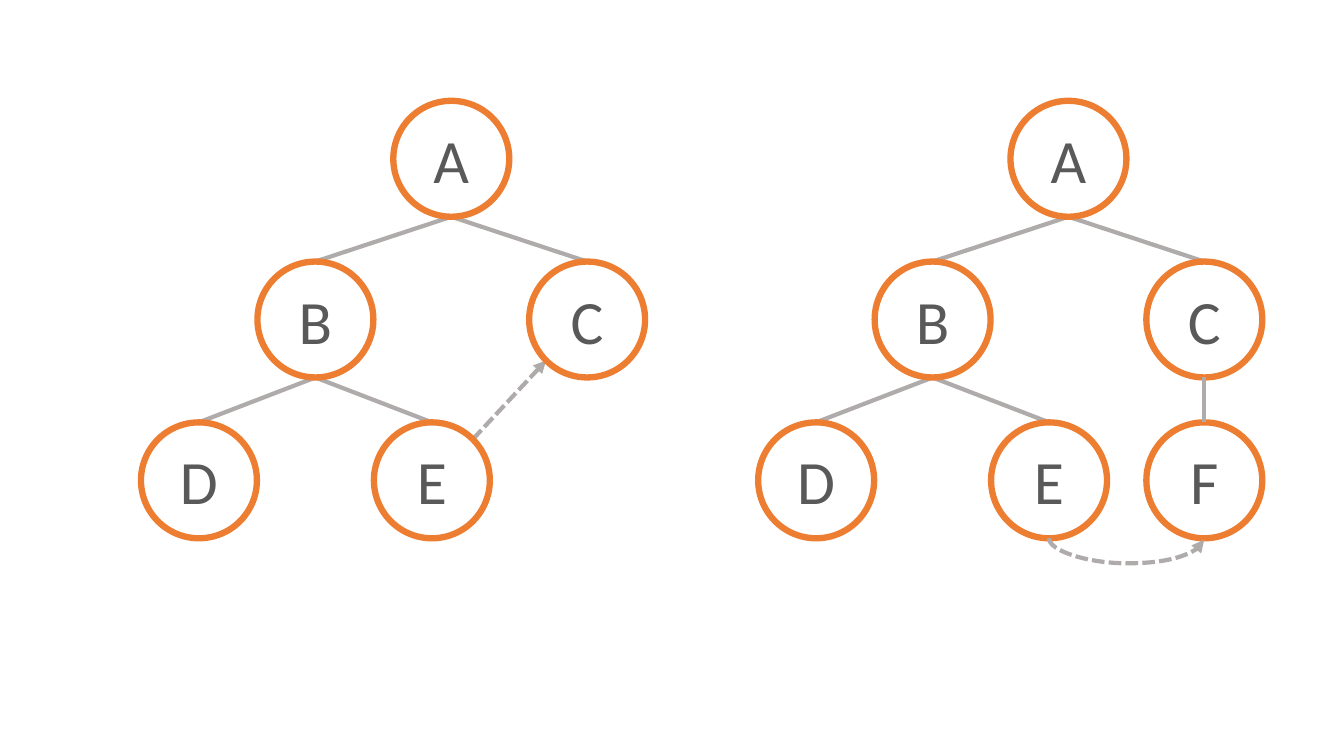
from dataclasses import dataclass
from math import sqrt

from lxml import etree
from pptx import Presentation
from pptx.dml.color import RGBColor
from pptx.enum.dml import MSO_LINE
from pptx.enum.shapes import MSO_CONNECTOR, MSO_SHAPE
from pptx.enum.text import MSO_ANCHOR, PP_ALIGN
from pptx.oxml.ns import qn
from pptx.shapes.autoshape import Shape
from pptx.shapes.connector import Connector
from pptx.slide import Slide
from pptx.util import Inches, Pt

WHITE = RGBColor(0xFF, 0xFF, 0xFF)
ORANGE = RGBColor(0xED, 0x7D, 0x31)
GRAY = RGBColor(0xAF, 0xAB, 0xAB)
DARK_GRAY = RGBColor(0x59, 0x59, 0x59)
OVAL = MSO_SHAPE.OVAL
STRAIGHT = MSO_CONNECTOR.STRAIGHT
CURVE = MSO_CONNECTOR.CURVE
SYS_DASH = MSO_LINE.SQUARE_DOT
MIDDLE = MSO_ANCHOR.MIDDLE
CENTER = PP_ALIGN.CENTER

COLUMN = Inches(0.1925)
ROW = Inches(1.595)
ROOT_Y = Inches(1.575)
DIAMETER = Inches(1.15)
RADIUS = DIAMETER // 2
DIAGONAL = RADIUS / sqrt(2)
CURVE_SPAN = Pt(1)
CURVE_DEPTH = 18


@dataclass(frozen=True)
class Node:
    letter: str
    column: int
    row: int


@dataclass(frozen=True)
class Tree:
    root_column: float
    nodes: tuple[Node, ...]

    def center(self, letter: str) -> tuple[int, int]:
        node = next(n for n in self.nodes if n.letter == letter)
        return (round((self.root_column + node.column) * COLUMN),
                ROOT_Y + node.row * ROW)


SHARED_NODES = (Node("A", 0, 0), Node("C", 7, 1), Node("B", -7, 1),
                Node("D", -13, 2), Node("E", -1, 2))
SHARED_EDGES = ("AC", "AB", "BE", "BD")
LEFT_TREE = Tree(23.25, SHARED_NODES)
RIGHT_TREE = Tree(55.05, SHARED_NODES + (Node("F", 7, 2),))


def write(shape: Shape, text: str, *, size: float, font: str, color: RGBColor) -> None:
    frame = shape.text_frame
    frame.vertical_anchor = MIDDLE
    paragraph = frame.paragraphs[0]
    paragraph.alignment = CENTER
    run = paragraph.add_run()
    run.text = text
    run.font.size = Pt(size)
    run.font.name = font
    run.font.color.rgb = color


def style_link(link: Connector, dashed: bool = False) -> None:
    link.line.color.rgb = GRAY
    link.line.width = Pt(3)
    properties = link._element.spPr
    if dashed:
        link.line.dash_style = SYS_DASH
        etree.SubElement(properties.find(qn("a:ln")), qn("a:tailEnd"), type="triangle")
    etree.SubElement(properties, qn("a:effectLst"))


def draw_edge(slide: Slide, tree: Tree, parent: str, child: str) -> None:
    parent_x, parent_y = tree.center(parent)
    child_x, child_y = tree.center(child)
    style_link(slide.shapes.add_connector(
        STRAIGHT, parent_x, parent_y + RADIUS, child_x, child_y - RADIUS))


def draw_diagonal_arrow(slide: Slide, tree: Tree, source: str, target: str) -> None:
    source_x, source_y = tree.center(source)
    target_x, target_y = tree.center(target)
    arrow = slide.shapes.add_connector(
        STRAIGHT, round(source_x + DIAGONAL), round(source_y - DIAGONAL),
        round(target_x - DIAGONAL), round(target_y + DIAGONAL))
    style_link(arrow, dashed=True)


def draw_curved_arrow(slide: Slide, tree: Tree, source: str, target: str) -> None:
    source_x, source_y = tree.center(source)
    target_x, _ = tree.center(target)
    middle_x = (source_x + target_x) // 2
    middle_y = source_y + RADIUS + CURVE_SPAN // 2
    half_reach = (target_x - source_x) // 2
    half_span = CURVE_SPAN // 2
    arrow = slide.shapes.add_connector(
        CURVE, middle_x + half_span, middle_y - half_reach,
        middle_x - half_span, middle_y + half_reach)
    properties = arrow._element.spPr
    properties.find(qn("a:xfrm")).set("rot", str(270 * 60000))
    adjustments = properties.find(qn("a:prstGeom")).find(qn("a:avLst"))
    etree.SubElement(adjustments, qn("a:gd"), name="adj1",
                     fmla=f"val {CURVE_DEPTH * 100000}")
    style_link(arrow, dashed=True)


def draw_nodes(slide: Slide, tree: Tree) -> None:
    for node in tree.nodes:
        x, y = tree.center(node.letter)
        circle = slide.shapes.add_shape(OVAL, x - RADIUS, y - RADIUS, DIAMETER, DIAMETER)
        circle.shadow.inherit = False
        circle.fill.solid()
        circle.fill.fore_color.rgb = WHITE
        circle.line.color.rgb = ORANGE
        circle.line.width = Pt(4.5)
        write(circle, node.letter, size=44, font="Calibri", color=DARK_GRAY)


def main() -> None:
    presentation = Presentation()
    presentation.slide_width = Inches(13.33)
    presentation.slide_height = Inches(7.5)
    slide = presentation.slides.add_slide(presentation.slide_layouts[6])
    draw_diagonal_arrow(slide, LEFT_TREE, "E", "C")
    for tree in (LEFT_TREE, RIGHT_TREE):
        for parent, child in SHARED_EDGES:
            draw_edge(slide, tree, parent, child)
        draw_nodes(slide, tree)
    draw_curved_arrow(slide, RIGHT_TREE, "E", "F")
    draw_edge(slide, RIGHT_TREE, "C", "F")
    presentation.save("out.pptx")


if __name__ == "__main__":
    main()
